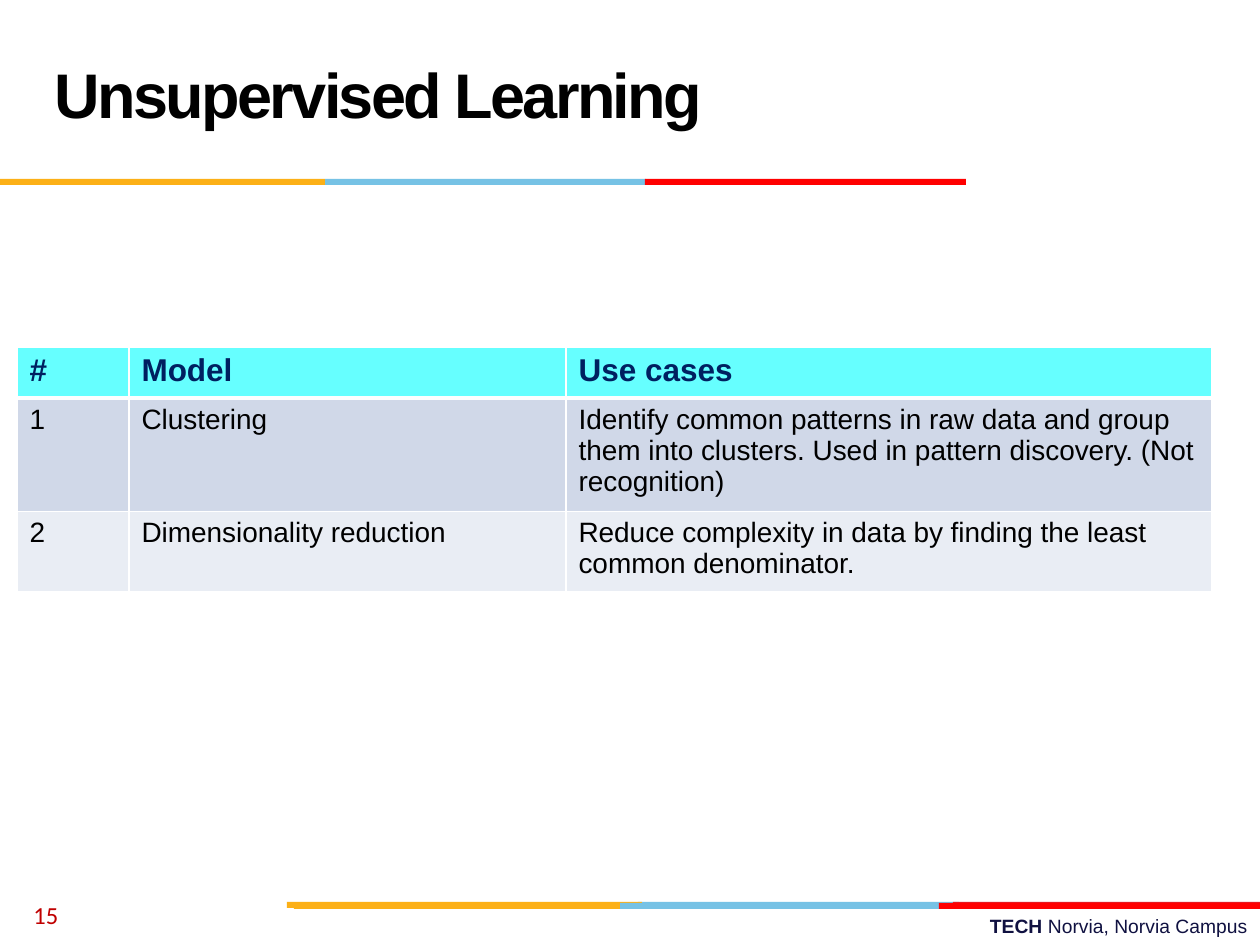
from dataclasses import dataclass

from lxml import etree
from pptx import Presentation
from pptx.dml.color import RGBColor
from pptx.enum.shapes import MSO_SHAPE
from pptx.enum.text import MSO_ANCHOR, MSO_AUTO_SIZE, PP_ALIGN
from pptx.oxml.ns import qn
from pptx.util import Pt

RECTANGLE = MSO_SHAPE.RECTANGLE
TOP, MIDDLE = MSO_ANCHOR.TOP, MSO_ANCHOR.MIDDLE
LEFT, RIGHT = PP_ALIGN.LEFT, PP_ALIGN.RIGHT
NO_AUTOFIT = MSO_AUTO_SIZE.NONE
PX_PER_INCH = 126
TITLE_ONLY = 5


@dataclass(frozen=True)
class Theme:
    font: str = "Arial"
    number_font: str = "Calibri"
    black: str = "000000"
    white: str = "FFFFFF"
    yellow: str = "FCB017"
    blue: str = "76C2E5"
    red: str = "FF0000"
    dark_red: str = "E31C24"
    footer: str = "101141"
    number: str = "C00000"
    header_text: str = "002060"
    header_fill: str = "66FFFF"
    row_fills: tuple = ("D0D8E8", "E9EDF4")
    title_size: int = 36
    header_size: int = 18
    body_size: int = 16
    number_size: int = 14
    footer_size: int = 11


def px(*lengths):
    return [round(length * 914400 / PX_PER_INCH) for length in lengths]


class SlideBuilder:
    def __init__(self, presentation, theme):
        self.theme = theme
        self.slide = presentation.slides.add_slide(presentation.slide_layouts[TITLE_ONLY])

    def style(self, paragraph, size, color, bold=None, font=None):
        paragraph.font.name = font or self.theme.font
        paragraph.font.size = Pt(size)
        paragraph.font.color.rgb = RGBColor.from_string(color)
        paragraph.font.bold = bold

    def title(self, text, box):
        title = self.slide.shapes.title
        title.left, title.top, title.width, title.height = px(*box)
        frame = title.text_frame
        frame.text = text
        frame.auto_size = NO_AUTOFIT
        frame.vertical_anchor = MIDDLE
        paragraph = frame.paragraphs[0]
        paragraph.alignment = LEFT
        paragraph.line_spacing = Pt(36)
        self.style(paragraph, self.theme.title_size, self.theme.black, True)
        for run in paragraph.runs:
            run.font._element.set("spc", "-150")

    def text(self, runs, box, size, color, align=LEFT, anchor=TOP, font=None):
        frame = self.slide.shapes.add_textbox(*px(*box)).text_frame
        frame.word_wrap = True
        frame.vertical_anchor = anchor
        paragraph = frame.paragraphs[0]
        paragraph.alignment = align
        self.style(paragraph, size, color, font=font)
        for text, bold in runs:
            run = paragraph.add_run()
            run.text = text
            run.font.bold = bold

    def bands(self, top, segments):
        for left, width, color in segments:
            shape = self.slide.shapes.add_shape(RECTANGLE, *px(left, top, width, 6))
            shape.shadow.inherit = False
            shape.fill.solid()
            shape.fill.fore_color.rgb = RGBColor.from_string(color)
            shape.line.fill.background()

    def borders(self, cell, bottom_width, top_width):
        properties = cell._tc.get_or_add_tcPr()
        widths = {"a:lnL": 1, "a:lnR": 1, "a:lnT": top_width, "a:lnB": bottom_width}
        for position, (tag, width) in enumerate(widths.items()):
            line = etree.Element(qn(tag), w=str(Pt(width)))
            fill = etree.SubElement(line, qn("a:solidFill"))
            etree.SubElement(fill, qn("a:srgbClr"), val=self.theme.white)
            properties.insert(position, line)

    def table(self, rows, left, top, widths, heights):
        theme = self.theme
        box = px(left, top, sum(widths), sum(heights))
        table = self.slide.shapes.add_table(len(rows), len(widths), *box).table
        for column, width in zip(table.columns, px(*widths)):
            column.width = width
        for row, height in zip(table.rows, px(*heights)):
            row.height = height
        for i, texts in enumerate(rows):
            header = i == 0
            fill = theme.header_fill if header else theme.row_fills[(i - 1) % 2]
            size = theme.header_size if header else theme.body_size
            color = theme.header_text if header else theme.black
            for j, text in enumerate(texts):
                cell = table.cell(i, j)
                cell.text = text
                cell.fill.solid()
                cell.fill.fore_color.rgb = RGBColor.from_string(fill)
                self.style(cell.text_frame.paragraphs[0], size, color, header)
                self.borders(cell, 3 if header else 1, 3 if i == 1 else 1)


def main():
    theme = Theme()
    presentation = Presentation()
    presentation.slide_width, presentation.slide_height = px(1260, 945)
    builder = SlideBuilder(presentation, theme)

    builder.text([("TECH ", True), ("Norvia, Norvia Campus", False)],
                 (451, 908, 809, 37), theme.footer_size, theme.footer, RIGHT)
    builder.bands(902, [(638, 321, theme.blue), (953, 307, theme.dark_red),
                        (287, 355, theme.yellow)])
    builder.bands(903, [(620, 321, theme.blue), (294, 326, theme.yellow),
                        (939, 321, theme.red)])
    builder.bands(179, [(325, 321, theme.blue), (0, 325, theme.yellow),
                        (645, 321, theme.red)])
    builder.title("Unsupervised Learning", (42, 21, 1176, 158))
    builder.text([("15", False)], (21, 890, 294, 50), theme.number_size, theme.number,
                 anchor=MIDDLE, font=theme.number_font)
    builder.table([
        ("#", "Model", "Use cases"),
        ("1", "Clustering", "Identify common patterns in raw data and group them into "
         "clusters. Used in pattern discovery. (Not recognition)"),
        ("2", "Dimensionality reduction",
         "Reduce complexity in data by finding the least common denominator."),
    ], 17, 347, (112, 437, 646), (51, 113, 80))

    presentation.save("out.pptx")


if __name__ == "__main__":
    main()
